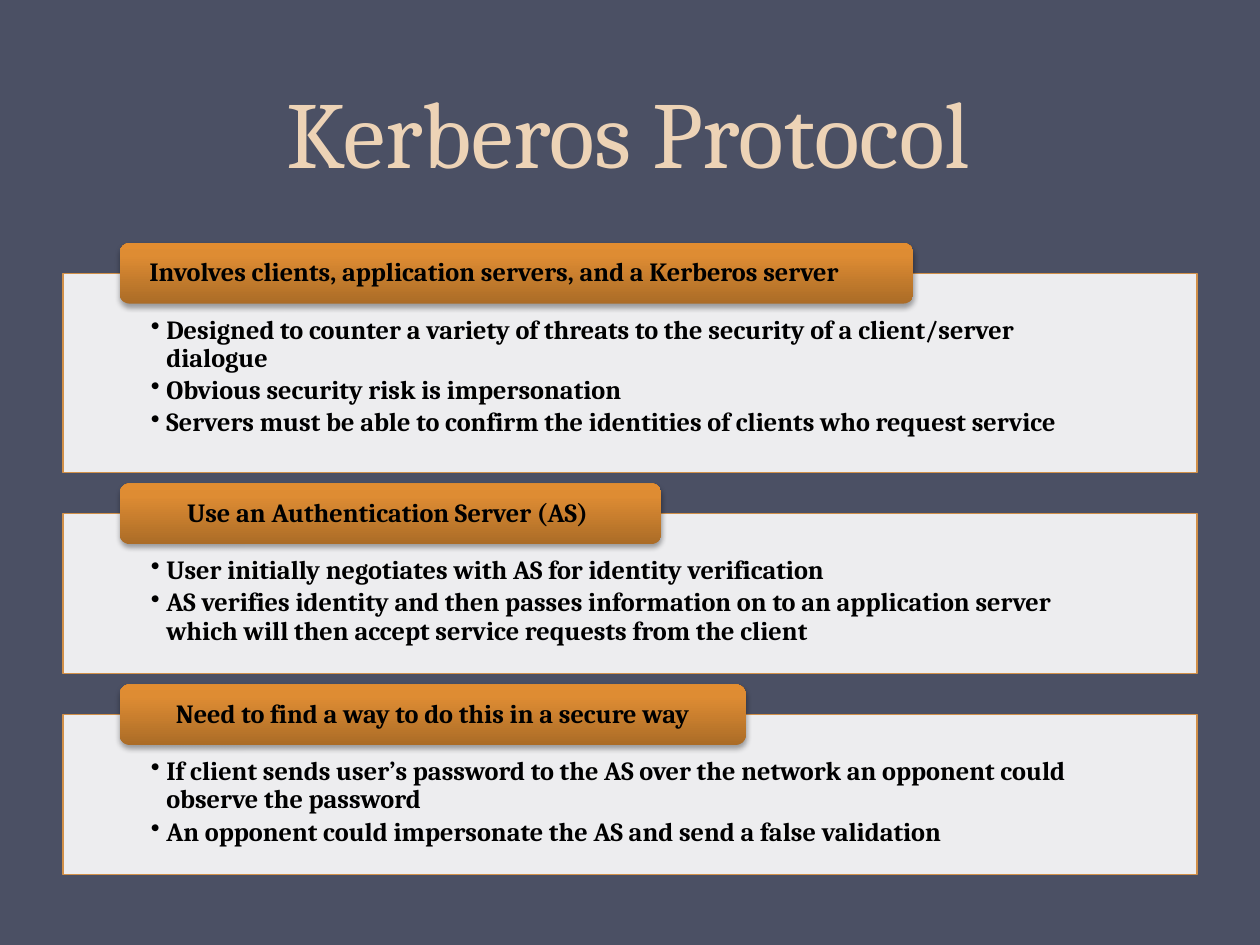
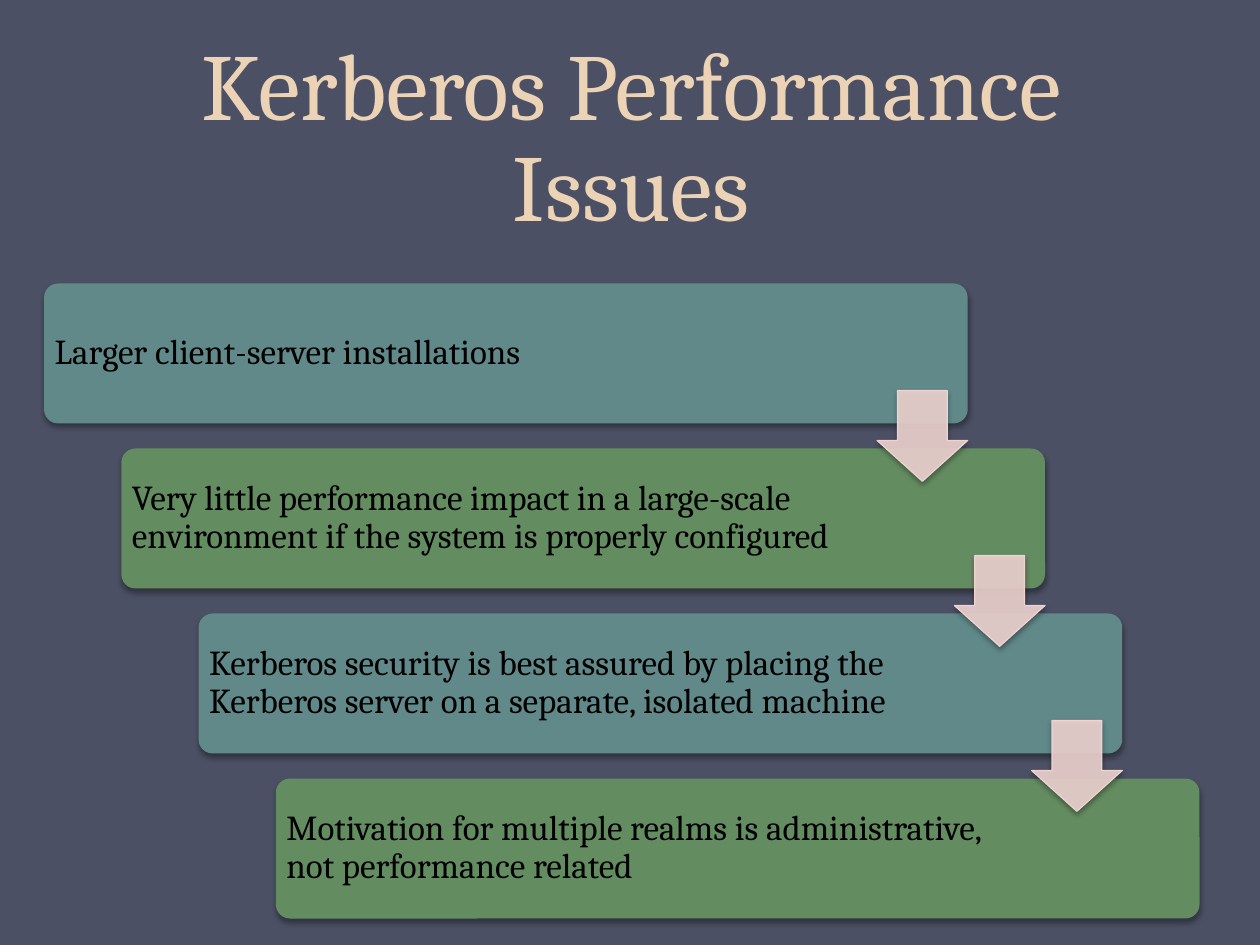
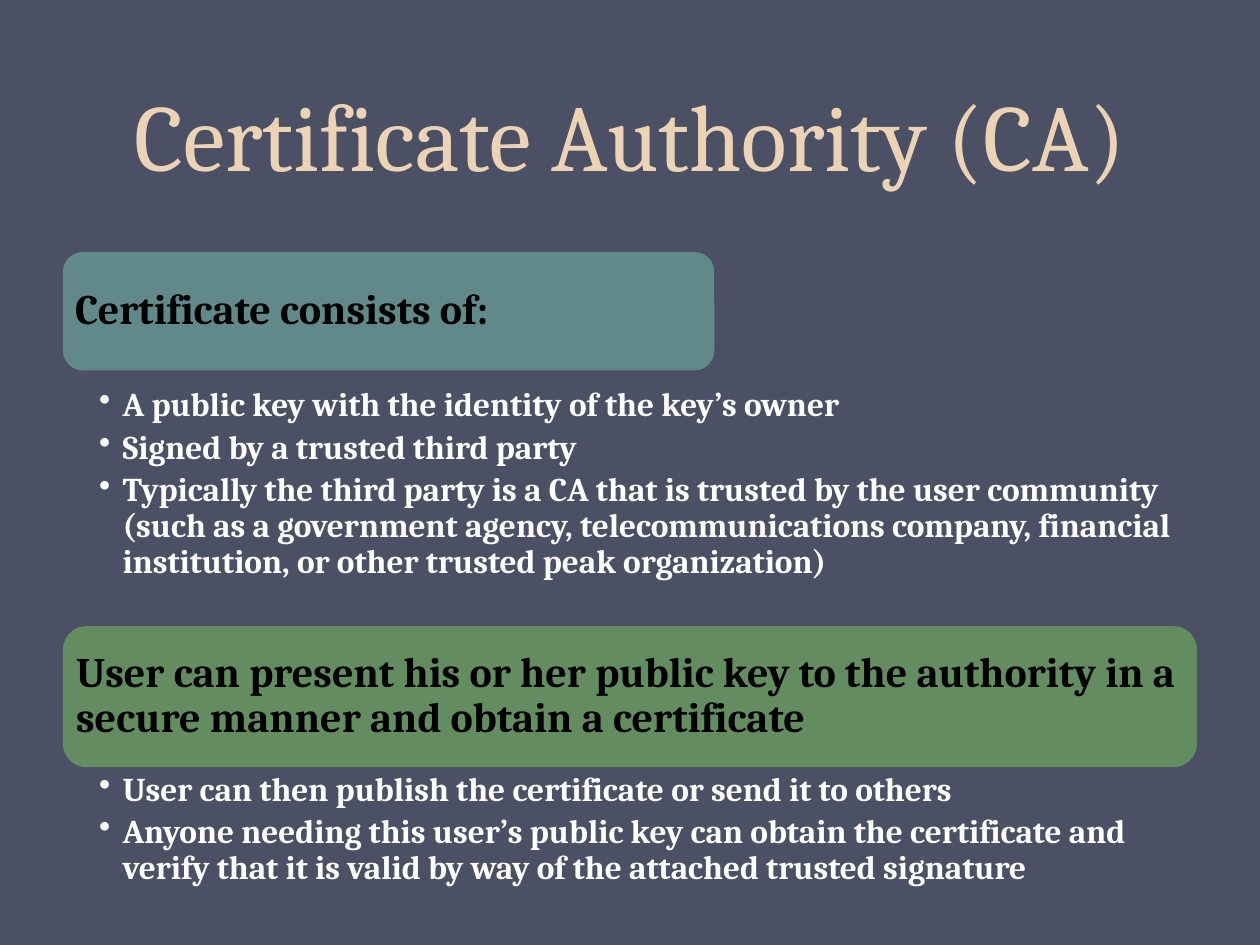
from copy import deepcopy

from lxml.etree import SubElement
from pptx import Presentation
from pptx.dml.color import RGBColor
from pptx.enum.shapes import MSO_SHAPE
from pptx.enum.text import MSO_ANCHOR, MSO_AUTO_SIZE, PP_ALIGN
from pptx.oxml.ns import qn
from pptx.util import Pt

FONT = "Cambria"
COLORS = {name: RGBColor.from_string(code) for name, code in {
    "back": "4B5064", "title": "EDD3B6", "black": "000000", "white": "FFFFFF",
    "edge": "D19049", "teal": "61898A", "green": "648C61", "pink": "EED3D0",
    "dark": "AB6C27", "mid": "DE8C33", "light": "E38D30",
}.items()}


def draw(slide, kind, place, fill, line=None, alpha=100, shadow=False):
    """Add a preset shape; place is left, top, width, height in points."""
    shape = slide.shapes.add_shape(kind, *[Pt(n) for n in place])
    shape.shadow.inherit = False
    shape.fill.solid()
    shape.fill.fore_color.rgb = COLORS[fill]
    if line:
        shape.line.color.rgb = COLORS[line]
        shape.line.width = Pt(0.75)
    else:
        shape.line.fill.background()
    props = shape._element.spPr
    if alpha < 100:
        tint = props.find(qn("a:solidFill")).find(qn("a:srgbClr"))
        SubElement(tint, qn("a:alpha"), val=str(alpha * 1000))
    if shadow:
        outer = SubElement(props.find(qn("a:effectLst")), qn("a:outerShdw"),
                           blurRad=str(Pt(3.1)), dist=str(Pt(1.8)),
                           dir="5400000", rotWithShape="0")
        tint = SubElement(outer, qn("a:srgbClr"), val=str(COLORS["black"]))
        SubElement(tint, qn("a:alpha"), val="35000")
    return shape


def write(shape, lines, size, insets, color="black", bold=True,
          align=PP_ALIGN.LEFT, hang=0, after=0):
    """Fill a shape with paragraphs; a hang in points makes them bullets."""
    frame = shape.text_frame
    frame.word_wrap = True
    frame.vertical_anchor = MSO_ANCHOR.TOP if hang else MSO_ANCHOR.MIDDLE
    (frame.margin_left, frame.margin_top,
     frame.margin_right, frame.margin_bottom) = [Pt(n) for n in insets]
    frame.text = "\n".join(lines)
    for para in frame.paragraphs:
        para.alignment = align
        para.line_spacing = 0.9
        para.space_after = Pt(after)
        font = para.runs[0].font
        font.name, font.size, font.bold = FONT, Pt(size), bold
        font.color.rgb = COLORS[color]
        if hang:
            props = para._p.get_or_add_pPr()
            props.set("marL", str(Pt(hang)))
            props.set("indent", str(-Pt(hang)))
            SubElement(props, qn("a:buChar"), char="•")


deck = Presentation()
deck.slide_width, deck.slide_height = Pt(720), Pt(540)
back = deck.slide_master.background.fill
back.solid()
back.fore_color.rgb = COLORS["back"]

titles = [
    ("Kerberos Protocol", (0, 20.9, 718, 90)),
    ("Kerberos Performance Issues", (36.7, 15.1, 648, 126)),
    ("Certificate Authority (CA)", (0, -13.7, 720, 126)),
]
slides = []
for text, place in titles:
    slide = deck.slides.add_slide(deck.slide_layouts[5])
    title = slide.shapes.title
    title.left, title.top, title.width, title.height = [Pt(n) for n in place]
    frame = title.text_frame
    frame.text = text
    frame.word_wrap = True
    frame.auto_size = MSO_AUTO_SIZE.NONE
    frame.vertical_anchor = MSO_ANCHOR.BOTTOM
    para = frame.paragraphs[0]
    para.alignment = PP_ALIGN.CENTER
    para.line_spacing = Pt(58)
    font = para.runs[0].font
    font.name, font.size = FONT, Pt(54)
    font.color.rgb = COLORS["title"]
    slides.append(slide)
proto, perf, cert = slides

# Kerberos Protocol: panels with a tab over the top edge
panels = [
    ("Involves clients, application servers, and a Kerberos server",
     453.6, 114, PP_ALIGN.LEFT,
     ["Designed to counter a variety of threats to the security of a client/server dialogue",
      "Obvious security risk is impersonation",
      "Servers must be able to confirm the identities of clients who request service"]),
    ("Use an Authentication Server (AS) ", 309.6, 91.4, PP_ALIGN.CENTER,
     ["User initially negotiates with AS for identity verification",
      "AS verifies identity and then passes information on to an application server "
      "which will then accept service requests from the client"]),
    ("Need to find a way to do this in a secure way",
     357.8, 91.4, PP_ALIGN.CENTER,
     ["If client sends user’s password to the AS over the network an opponent could "
      "observe the password",
      "An opponent could impersonate the AS and send a false validation"]),
]
top = 156.2
for head, width, height, align, points in panels:
    panel = draw(proto, MSO_SHAPE.RECTANGLE, (36, top, 648, height),
                 "white", line="edge", alpha=90)
    write(panel, points, 15, (50.3, 24.6, 50.3, 8.6), hang=8.8, after=2.25)
    tab = draw(proto, MSO_SHAPE.ROUNDED_RECTANGLE,
               (68.4, top - 17.3, width, 34.6), "mid", shadow=True)
    tab.fill.gradient()
    tab.fill.gradient_angle = 90
    stops = tab._element.spPr.find(qn("a:gradFill")).find(qn("a:gsLst"))
    stops.insert(1, deepcopy(stops[0]))
    shades = [(0, "dark"), (0.8, "mid"), (1, "light")]
    for stop, (spot, shade) in zip(tab.fill.gradient_stops, shades):
        stop.position = spot
        stop.color.rgb = COLORS[shade]
    write(tab, [head], 15, (15.3, 0, 15.3, 0), align=align)
    top += height + 23.4

# Performance Issues: a staircase of steps joined by arrows
steps = [
    "Larger client-server installations",
    "Very little performance impact in a large-scale environment if the system is properly configured",
    "Kerberos security is best assured by placing the Kerberos server on a separate, isolated machine",
    "Motivation for multiple realms is administrative, not performance related",
]
spots = [(25.2 + 44.15 * i, 162 + 94.3 * i) for i in range(len(steps))]
for i, (text, (left, top)) in enumerate(zip(steps, spots)):
    step = draw(perf, MSO_SHAPE.ROUNDED_RECTANGLE, (left, top, 527.8, 80),
                ("teal", "green")[i % 2], shadow=True)
    step.adjustments[0] = 0.1
    write(step, [text], 20, (3.7, 3.7, 98, 3.7), bold=False)
for left, top in spots[:-1]:
    arrow = draw(perf, MSO_SHAPE.DOWN_ARROW, (left + 476, top + 61.2, 51.8, 51.8),
                 "pink", line="pink", alpha=90, shadow=True)
    arrow.adjustments[0], arrow.adjustments[1] = 0.55, 0.45

# Certificate Authority: headings with bullets below
parts = [
    ("Certificate consists of:", "teal", (36, 144, 372.2, 67.7), (219.6, 131.8),
     ["A public key with the identity of the key’s owner",
      "Signed by a trusted third party",
      "Typically the third party is a CA that is trusted by the user community (such as "
      "a government agency, telecommunications company, financial institution, or other "
      "trusted peak organization)"]),
    ("User can present his or her public key to the authority in a secure manner and "
     "obtain a certificate", "green", (36, 357.8, 648, 80.6), (439.2, 79.9),
     ["User can then publish the certificate or send it to others",
      "Anyone needing this user’s public key can obtain the certificate and verify that "
      "it is valid by way of the attached trusted signature"]),
]
for head, fill, place, (top, height), points in parts:
    bar = draw(cert, MSO_SHAPE.ROUNDED_RECTANGLE, place, fill)
    write(bar, [head], 24, (3.6, 3.6, 3.6, 3.6))
    box = cert.shapes.add_textbox(Pt(36), Pt(top), Pt(648), Pt(height))
    write(box, points, 19, (20.6, 2.2, 13.7, 2.2), color="white",
          hang=13.5, after=3.8)

deck.save("out.pptx")
